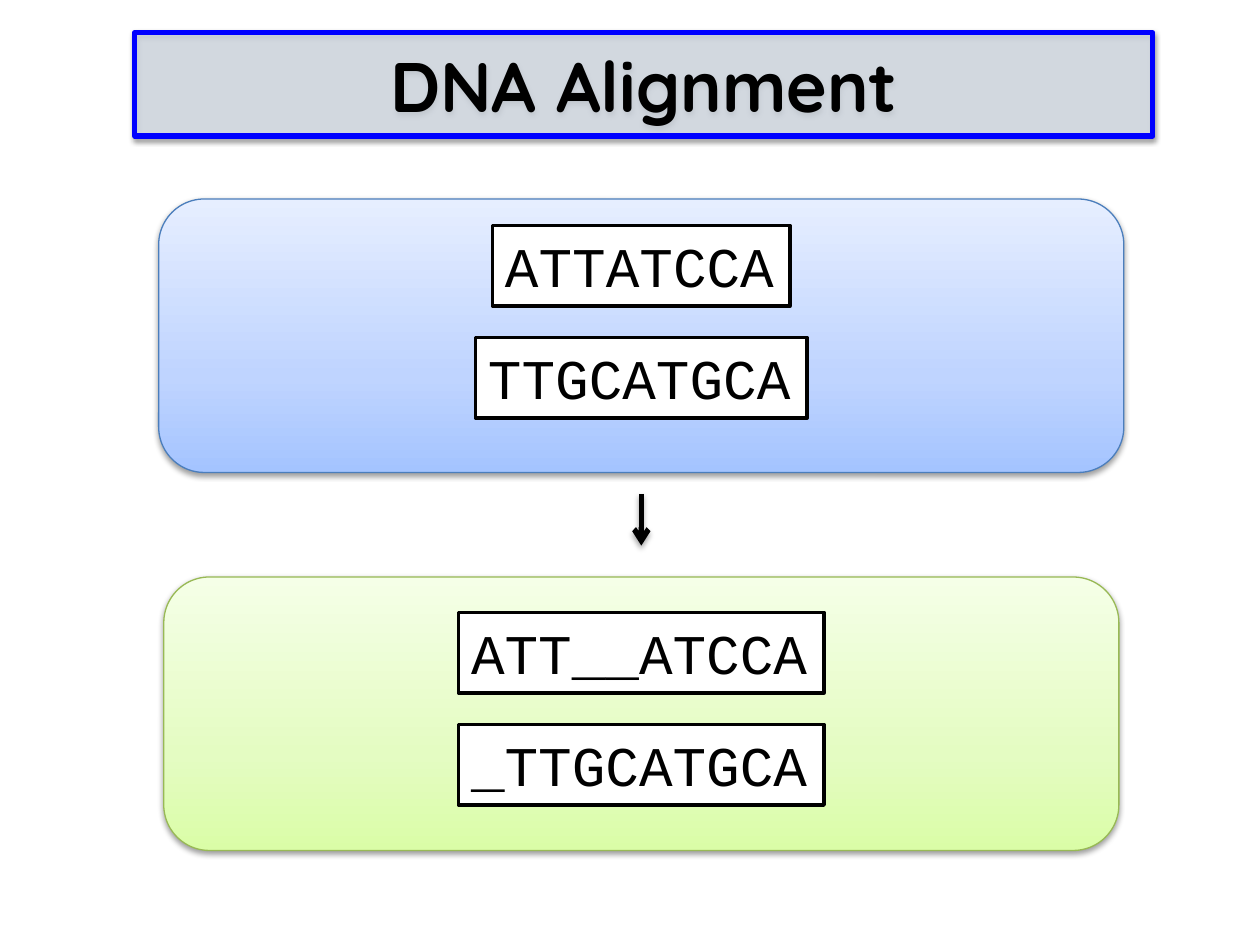
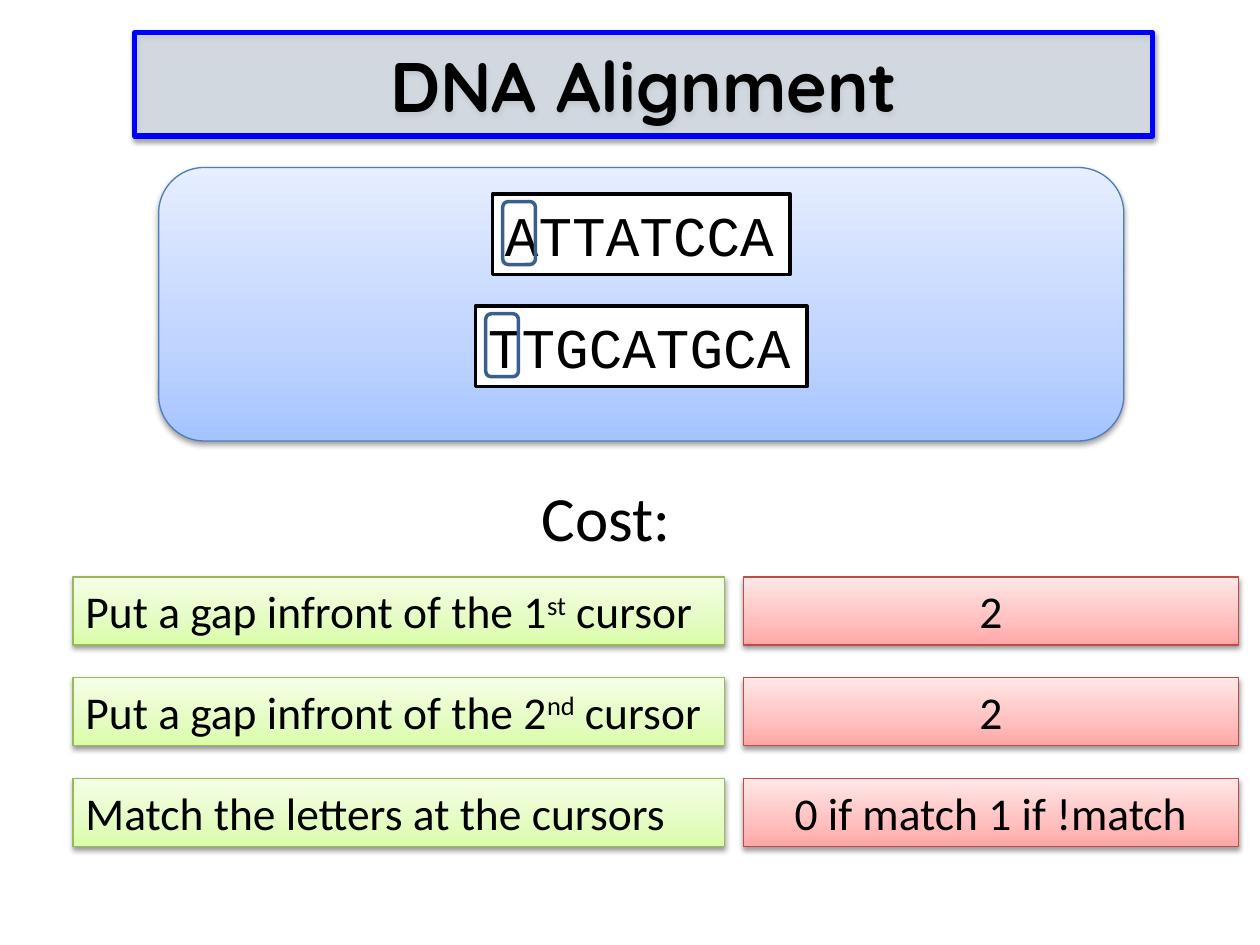
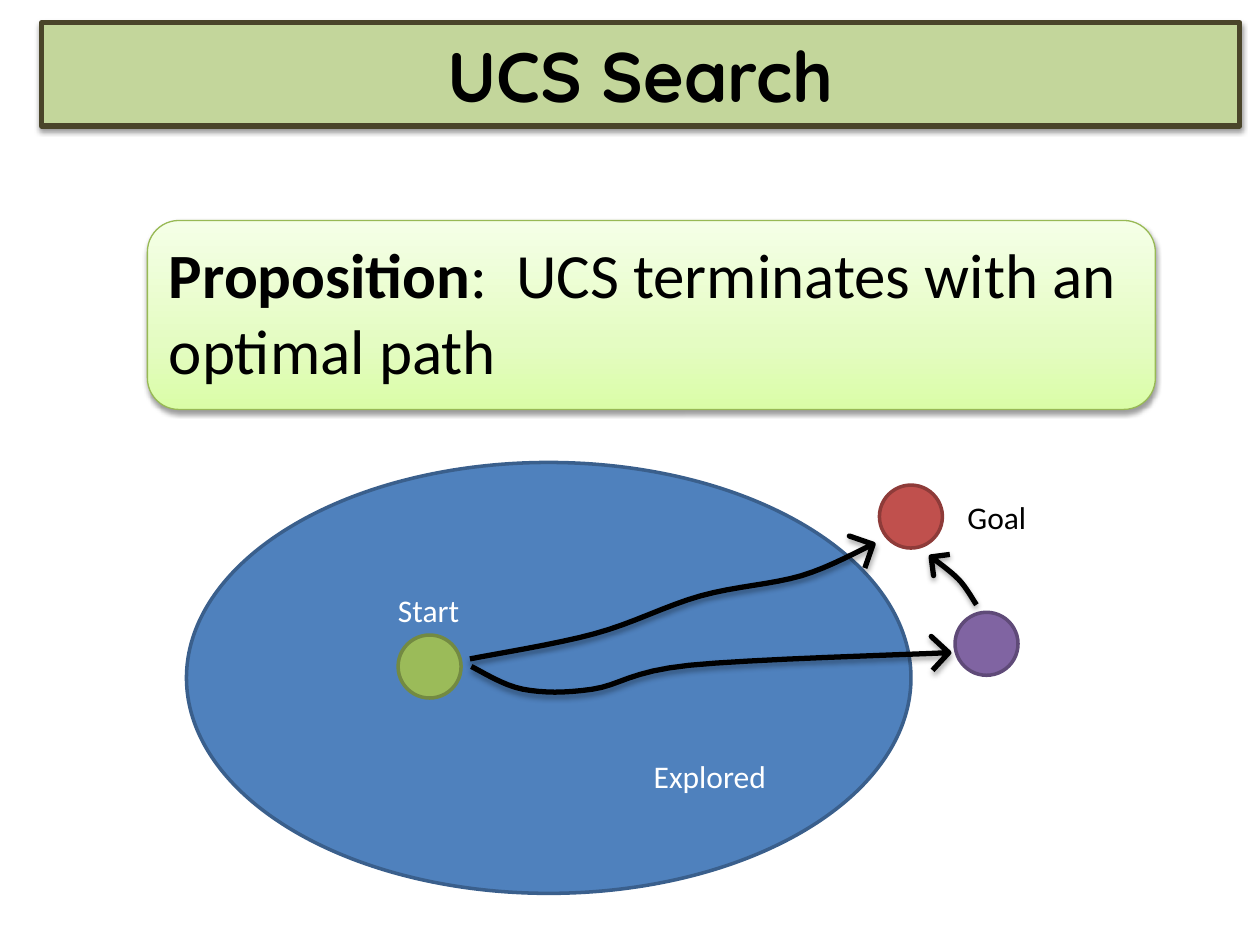
from math import atan2, cos, radians, sin
from typing import NamedTuple

from lxml.etree import SubElement
from pptx import Presentation
from pptx.dml.color import RGBColor
from pptx.enum.shapes import MSO_CONNECTOR, MSO_SHAPE
from pptx.enum.text import MSO_ANCHOR, MSO_AUTO_SIZE, PP_ALIGN
from pptx.oxml.ns import qn
from pptx.util import Inches, Pt


# ---- Records ----

class Point(NamedTuple):
    x: float
    y: float


class Box(NamedTuple):
    left: float
    top: float
    width: float
    height: float


class Style(NamedTuple):
    """Fill colours (none, one, or three from bottom to top) and outline."""
    fill: tuple[str, ...]
    line: str
    line_width: float
    shadow: bool = False
    opacity: int = 100


class Run(NamedTuple):
    text: str
    bold: bool = False
    superscript: bool = False


class CostRow(NamedTuple):
    action: tuple[Run, ...]
    cost: str


class Node(NamedTuple):
    left: float
    top: float
    style: Style


class Label(NamedTuple):
    text: str
    box: Box
    color: str
    size: float


class CurvedArrow(NamedTuple):
    """A curve through a few points; the last one is the tip."""
    waypoints: tuple[Point, ...]
    head_length: float


# ---- Shared look ----

BLACK, WHITE, OUTLINE_BLUE = "000000", "FFFFFF", "3A5F8C"
BODY_FONT, TITLE_FONT, CODE_FONT = "Calibri", "Quicksand", "Courier New"

BLUE = Style(("A4C4FF", "BFD4FF", "E6EEFF"), "4B7EBC", 0.75, shadow=True)
GREEN = Style(("DAFDA7", "E4FCC2", "F5FFE7"), "98B955", 0.75, shadow=True)
RED = Style(("FFA6A5", "FFC0BF", "FFE7E7"), "BF4C48", 0.75, shadow=True)
SEQUENCE = Style((WHITE,), BLACK, 2)
CURSOR = Style((), OUTLINE_BLUE, 2)
DNA_TITLE = Style(("DCE6F2",), "0000FF", 3, shadow=True, opacity=60)
SEARCH_TITLE = Style(("C3D69B",), "4A452A", 3, shadow=True)
STROKE_WIDTH = 3

# ---- DNA slides ----

DNA_TITLE_BOX = Box(1.07, 0.26, 8.08, 0.82)
CENTER_X = 5.09
PANEL_HEIGHT = 2.17
SEQUENCE_HEIGHT, SEQUENCE_PITCH = 0.64, 0.89
LETTER_WIDTH, TEXT_INSET = 0.27, 0.1
CURSOR_WIDTH, CURSOR_HEIGHT = 0.26, 0.5

UNALIGNED = ("ATTATCCA", "TTGCATGCA")
ALIGNED = ("ATT__ATCCA", "_TTGCATGCA")

COST_TOP, COST_PITCH, COST_HEIGHT = 4.58, 0.8, 0.54
ACTION_LEFT, ACTION_WIDTH = 0.58, 5.17
PRICE_LEFT, PRICE_WIDTH = 5.9, 3.93


def gap_action(ordinal: str, suffix: str) -> tuple[Run, ...]:
    return (Run(f"Put a gap infront of the {ordinal}"),
            Run(suffix, superscript=True), Run(" cursor"))


COST_ROWS = (
    CostRow(gap_action("1", "st"), "2"),
    CostRow(gap_action("2", "nd"), "2"),
    CostRow((Run("Match the letters at the cursors"),), "0 if match 1 if !match"),
)

# ---- Search slide ----

NODE_SIZE = 0.5
EXPLORED_BOX = Box(1.48, 3.67, 5.75, 3.42)
EXPLORED = Style(("4F81BD",), OUTLINE_BLUE, 2)
START = Node(3.16, 5.04, Style(("9BBB59",), "738A42", 2))
GOAL = Node(6.98, 3.85, Style(("C0504D",), "8E3B39", 2))
FRONTIER = Node(7.58, 4.86, Style(("8064A2",), "5F4A78", 2))

SEARCH_LABELS = (
    Label("Start", Box(3.06, 4.64, 0.69, 0.4), WHITE, 18),
    Label("Goal", Box(7.58, 3.9, 0.67, 0.4), BLACK, 18),
    Label("Explored", Box(5.09, 5.96, 1.1, 0.4), WHITE, 18),
)

HEAD_ANGLE = radians(45)
CURVE_STEPS = 8
START_TO_GOAL = CurvedArrow(
    (Point(3.73, 5.23), Point(4.72, 5.03), Point(5.56, 4.73),
     Point(6.36, 4.57), Point(6.93, 4.32)), 0.2)
START_TO_FRONTIER = CurvedArrow(
    (Point(3.74, 5.29), Point(4.15, 5.47), Point(4.7, 5.47),
     Point(5.47, 5.28), Point(7.53, 5.18)), 0.19)
FRONTIER_TO_GOAL = CurvedArrow(
    (Point(7.75, 4.8), Point(7.61, 4.6), Point(7.39, 4.42)), 0.15)


# ---- Formatting ----

def rgb(color: str) -> RGBColor:
    return RGBColor.from_string(color)


def emu(lengths: tuple[float, ...]) -> list[int]:
    return [Inches(length) for length in lengths]


def add_color(parent, color: str, opacity: int = 100) -> None:
    node = SubElement(parent, qn("a:srgbClr"), val=color)
    if opacity < 100:
        SubElement(node, qn("a:alpha"), val=str(opacity * 1000))


def add_shadow(sp, opacity: int = 38, distance: float = 1.6) -> None:
    effects = SubElement(sp._element.spPr, qn("a:effectLst"))
    outer = SubElement(effects, qn("a:outerShdw"), blurRad=str(Pt(3.1)),
                       dist=str(Pt(distance)), dir="5400000", rotWithShape="0")
    add_color(outer, BLACK, opacity)


def fill_solid(sp, color: str, opacity: int) -> None:
    sp.fill.solid()
    sp.fill.fore_color.rgb = rgb(color)
    if opacity < 100:
        node = sp._element.spPr.find(qn("a:solidFill"))[0]
        SubElement(node, qn("a:alpha"), val=str(opacity * 1000))


def fill_gradient(sp, colors: tuple[str, ...]) -> None:
    sp.fill.gradient()
    sp.fill.gradient_angle = 90
    stops = sp._element.spPr.find(qn("a:gradFill")).find(qn("a:gsLst"))
    for stop in list(stops):
        stops.remove(stop)
    for percent, color in zip((0, 35, 100), colors):
        add_color(SubElement(stops, qn("a:gs"), pos=str(percent * 1000)), color)


def apply_style(sp, style: Style) -> None:
    if not style.fill:
        sp.fill.background()
    elif len(style.fill) == 1:
        fill_solid(sp, style.fill[0], style.opacity)
    else:
        fill_gradient(sp, style.fill)
    sp.line.color.rgb = rgb(style.line)
    sp.line.width = Pt(style.line_width)
    if style.shadow:
        add_shadow(sp)
    else:
        sp.shadow.inherit = False


def apply_stroke(sp, ending: str, **attributes: str) -> None:
    """Format a thick black line; ending names the line element that finishes it."""
    sp.line.color.rgb = rgb(BLACK)
    sp.line.width = Pt(STROKE_WIDTH)
    SubElement(sp._element.spPr.find(qn("a:ln")), qn(ending), **attributes)
    add_shadow(sp, opacity=35, distance=1.8)


def write(sp, *runs: Run, size: float, font: str = BODY_FONT, color: str = BLACK,
          align=PP_ALIGN.LEFT, anchor=MSO_ANCHOR.TOP, wrap: bool = True) -> None:
    tf = sp.text_frame
    tf.word_wrap = wrap
    tf.auto_size = MSO_AUTO_SIZE.NONE
    tf.vertical_anchor = anchor
    p = tf.paragraphs[0]
    p.alignment = align
    for run in runs:
        r = p.add_run()
        r.text = run.text
        r.font.name = font
        r.font.size = Pt(size)
        r.font.bold = run.bold
        r.font.color.rgb = rgb(color)
        if run.superscript:
            r._r.get_or_add_rPr().set("baseline", "30000")


# ---- Drawing ----

def add_box(s, kind, box: Box, style: Style):
    sp = s.shapes.add_shape(kind, *emu(box))
    apply_style(sp, style)
    return sp


def add_label(s, label: Label) -> None:
    sp = s.shapes.add_textbox(*emu(label.box))
    write(sp, Run(label.text), size=label.size, color=label.color, wrap=False)


def add_titled_slide(prs, title: str, box: Box, style: Style):
    s = prs.slides.add_slide(prs.slide_layouts[5])
    sp = s.shapes.title
    sp.left, sp.top, sp.width, sp.height = emu(box)
    apply_style(sp, style)
    write(sp, Run(title, bold=True), size=40, font=TITLE_FONT,
          align=PP_ALIGN.CENTER, anchor=MSO_ANCHOR.MIDDLE)
    return s


def centered_box(top: float, width: float, height: float) -> Box:
    return Box(CENTER_X - width / 2, top, width, height)


def add_sequence_panel(s, sequences: tuple[str, ...], style: Style, top: float,
                       width: float, padding: float) -> list[Box]:
    """Draw a panel of stacked sequences and return the sequence boxes."""
    panel = centered_box(top, width, PANEL_HEIGHT)
    add_box(s, MSO_SHAPE.ROUNDED_RECTANGLE, panel, style)
    boxes = []
    for i, letters in enumerate(sequences):
        box = centered_box(top + padding + i * SEQUENCE_PITCH,
                           2 * TEXT_INSET + LETTER_WIDTH * len(letters), SEQUENCE_HEIGHT)
        sp = add_box(s, MSO_SHAPE.RECTANGLE, box, SEQUENCE)
        write(sp, Run(letters), size=32, font=CODE_FONT, wrap=False)
        boxes.append(box)
    return boxes


def add_unaligned_panel(s, top: float) -> list[Box]:
    return add_sequence_panel(s, UNALIGNED, BLUE, top, width=7.66, padding=0.21)


def add_first_letter_cursor(s, sequence: Box) -> None:
    box = Box(sequence.left + 0.08, sequence.top + 0.06, CURSOR_WIDTH, CURSOR_HEIGHT)
    add_box(s, MSO_SHAPE.ROUNDED_RECTANGLE, box, CURSOR)


def add_down_arrow(s, top: float, bottom: float) -> None:
    ends = emu((CENTER_X, top, CENTER_X, bottom))
    line = s.shapes.add_connector(MSO_CONNECTOR.STRAIGHT, *ends)
    apply_stroke(line, "a:tailEnd", type="arrow")


def smooth_curve(points: tuple[Point, ...]) -> list[Point]:
    """Sample a Catmull-Rom spline that passes through every point."""
    padded = (points[0], *points, points[-1])
    curve = [points[0]]
    for segment in zip(padded, padded[1:], padded[2:], padded[3:]):
        for step in range(1, CURVE_STEPS + 1):
            t = step / CURVE_STEPS
            curve.append(Point(*(
                b + t * ((c - a) + t * ((2 * a - 5 * b + 4 * c - d)
                                        + t * (3 * b - 3 * c + d - a))) / 2
                for a, b, c, d in zip(*segment))))
    return curve


def arrowhead(before: Point, tip: Point, length: float) -> list[Point]:
    """Go from the tip to one barb, back to the tip, and on to the other barb."""
    backward = atan2(before.y - tip.y, before.x - tip.x)
    first, second = (Point(tip.x + length * cos(angle), tip.y + length * sin(angle))
                     for angle in (backward + HEAD_ANGLE, backward - HEAD_ANGLE))
    return [first, tip, second]


def add_curved_arrow(s, arrow: CurvedArrow) -> None:
    shaft = smooth_curve(arrow.waypoints)
    outline = shaft + arrowhead(shaft[-3], shaft[-1], arrow.head_length)
    first, *rest = [emu(point) for point in outline]
    builder = s.shapes.build_freeform(*first)
    builder.add_line_segments(rest, close=False)
    sp = builder.convert_to_shape()
    sp.fill.background()
    apply_stroke(sp, "a:round")


# ---- Slides ----

def build_alignment(prs) -> None:
    s = add_titled_slide(prs, "DNA Alignment", DNA_TITLE_BOX, DNA_TITLE)
    add_unaligned_panel(s, top=1.58)
    add_down_arrow(s, top=3.92, bottom=4.33)
    add_sequence_panel(s, ALIGNED, GREEN, top=4.58, width=7.58, padding=0.28)


def build_costs(prs) -> None:
    s = add_titled_slide(prs, "DNA Alignment", DNA_TITLE_BOX, DNA_TITLE)
    for sequence in add_unaligned_panel(s, top=1.33):
        add_first_letter_cursor(s, sequence)
    add_label(s, Label("Cost:", Box(4.2, 3.75, 1.23, 0.71), BLACK, 36))
    for i, row in enumerate(COST_ROWS):
        top = COST_TOP + i * COST_PITCH
        action = Box(ACTION_LEFT, top, ACTION_WIDTH, COST_HEIGHT)
        price = Box(PRICE_LEFT, top, PRICE_WIDTH, COST_HEIGHT)
        write(add_box(s, MSO_SHAPE.RECTANGLE, action, GREEN), *row.action, size=26)
        write(add_box(s, MSO_SHAPE.RECTANGLE, price, RED), Run(row.cost), size=26,
              align=PP_ALIGN.CENTER)


def build_search(prs) -> None:
    s = add_titled_slide(prs, "UCS Search", Box(0.33, 0.18, 9.51, 0.82), SEARCH_TITLE)
    sp = add_box(s, MSO_SHAPE.ROUNDED_RECTANGLE, Box(1.17, 1.75, 8, 1.5), GREEN)
    write(sp, Run("Proposition", bold=True),
          Run(":  UCS terminates with an optimal path"), size=36)
    add_box(s, MSO_SHAPE.OVAL, EXPLORED_BOX, EXPLORED)
    for node in (START, GOAL, FRONTIER):
        add_box(s, MSO_SHAPE.OVAL, Box(node.left, node.top, NODE_SIZE, NODE_SIZE), node.style)
    for label in SEARCH_LABELS:
        add_label(s, label)
    for arrow in (START_TO_GOAL, START_TO_FRONTIER, FRONTIER_TO_GOAL):
        add_curved_arrow(s, arrow)


def main() -> None:
    prs = Presentation()
    prs.slide_width, prs.slide_height = Inches(10), Inches(7.5)
    build_alignment(prs)
    build_costs(prs)
    build_search(prs)
    prs.save("out.pptx")


if __name__ == "__main__":
    main()
